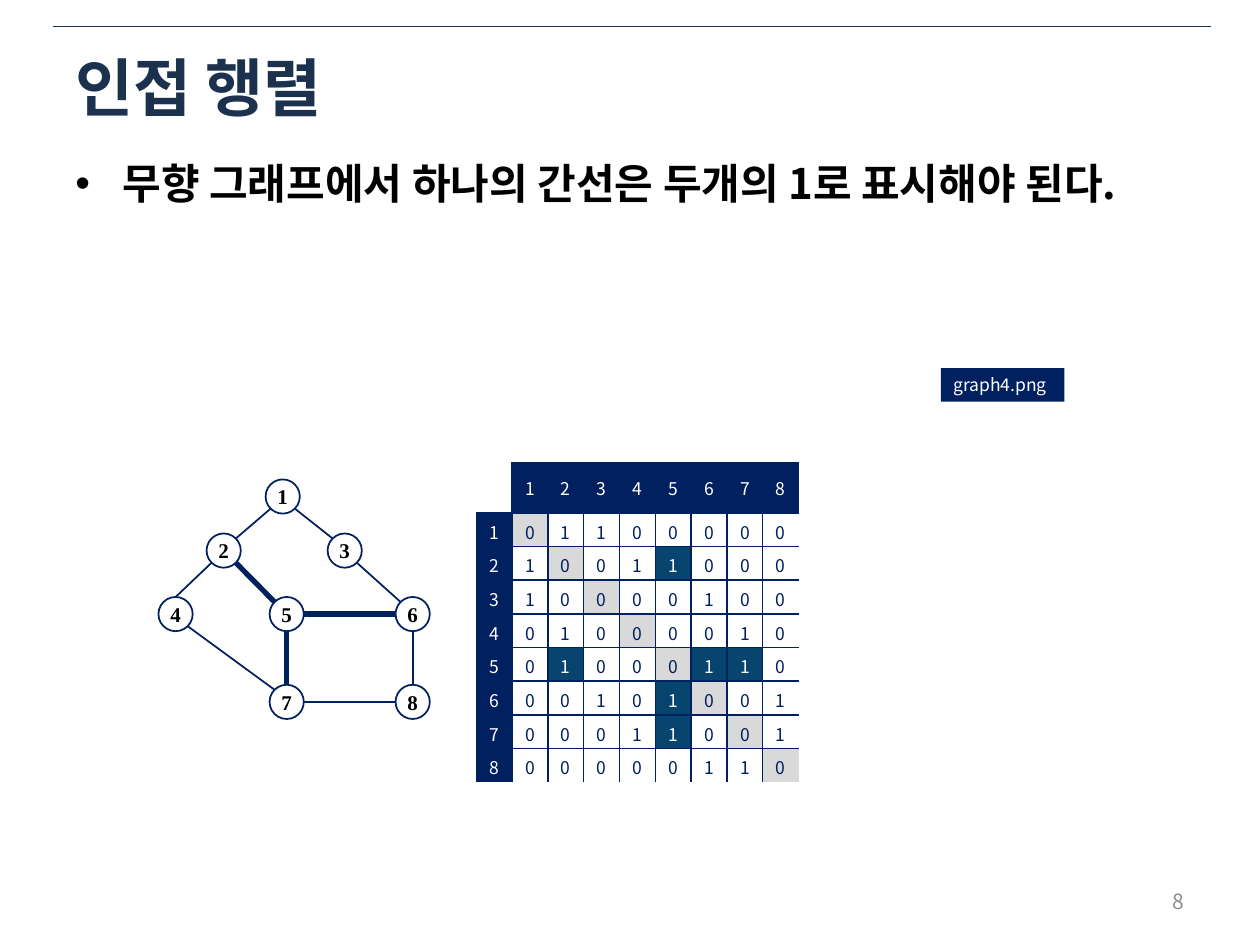
from dataclasses import dataclass
from math import hypot

from lxml import etree
from pptx import Presentation
from pptx.dml.color import RGBColor
from pptx.enum import shapes, text
from pptx.oxml import ns
from pptx.util import Cm, Pt

TITLE = "인접 행렬"
BODY = "무향 그래프에서 하나의 간선은 두개의 1로 표시해야 된다."
FILE_LABEL = "graph4.png"
PAGE = "8"

NODES = {
    1: (5.7, 10.01), 2: (4.51, 11.1), 3: (6.95, 11.1), 4: (3.54, 12.38),
    5: (5.78, 12.38), 6: (8.32, 12.38), 7: (5.78, 14.15), 8: (8.32, 14.15),
}
EDGES = [(1, 2), (1, 3), (2, 4), (2, 5), (3, 6),
         (4, 7), (5, 6), (5, 7), (6, 8), (7, 8)]
MARKED = [(2, 5), (5, 6), (5, 7)]
ENTRY_SIDES = {(2, 4): (0, -1)}
NODE_SIZE = 0.69
MATRIX_BOX = (9.6, 9.32, 6.5, 6.1)
NO_STYLE = "{2D5ABB26-0587-4C30-8999-92F81FD0307C}"


@dataclass(frozen=True)
class Theme:
    sans: str = "Noto Sans CJK KR"
    serif: str = "Times New Roman"
    title: str = "1C314E"
    navy: str = "002060"
    teal: str = "08456E"
    grey: str = "D9D9D9"
    muted: str = "8C8C8C"
    black: str = "000000"
    white: str = "FFFFFF"
    title_size: int = 36
    body_size: int = 24
    node_size: int = 12
    page_size: int = 12
    small_size: int = 10
    thin: float = 1
    thick: float = 3
    rule: float = 0.25


T = Theme()


def rgb(color):
    return RGBColor.from_string(color)


def add_xml(parent, tag, **attrs):
    return etree.SubElement(parent, ns.qn(tag), attrs)


def write(tf, content, size=T.small_size, color=T.white, font=T.sans,
          bold=False, align=text.PP_ALIGN.LEFT):
    p = tf.paragraphs[0]
    p.alignment = align
    r = p.add_run()
    r.text = content
    r.font.size, r.font.bold, r.font.name = Pt(size), bold, font
    r.font.color.rgb = rgb(color)
    add_xml(r.font._element, "a:ea", typeface=font)
    return p


def add_text(slide, box, content, anchor=text.MSO_ANCHOR.MIDDLE, **style):
    tf = slide.shapes.add_textbox(*map(Cm, box)).text_frame
    tf.word_wrap = True
    tf.vertical_anchor = anchor
    return write(tf, content, **style)


def add_line(slide, start, end, color=T.navy, width=T.thin):
    line = slide.shapes.add_connector(
        shapes.MSO_CONNECTOR.STRAIGHT, *map(Cm, (*start, *end)))
    line.line.color.rgb = rgb(color)
    line.line.width = Pt(width)
    add_xml(line._element.spPr, "a:effectLst")


def add_node(slide, number, center):
    left, top = (c - NODE_SIZE / 2 for c in center)
    sp = slide.shapes.add_shape(
        shapes.MSO_SHAPE.OVAL, *map(Cm, (left, top, NODE_SIZE, NODE_SIZE)))
    sp.shadow.inherit = False
    sp.fill.background()
    sp.line.color.rgb = rgb(T.navy)
    sp.line.width = Pt(T.thin)
    tf = sp.text_frame
    tf.margin_left = tf.margin_right = 0
    tf.vertical_anchor = text.MSO_ANCHOR.MIDDLE
    write(tf, str(number), size=T.node_size, color=T.black, font=T.serif,
          bold=True, align=text.PP_ALIGN.CENTER)


def rim_point(center, side):
    scale = NODE_SIZE / 2 / hypot(*side)
    return tuple(c + s * scale for c, s in zip(center, side))


def add_edge(slide, edge):
    start, end = (NODES[n] for n in edge)
    side = tuple((b > a) - (b < a) for a, b in zip(start, end))
    entry = ENTRY_SIDES.get(edge, tuple(-s for s in side))
    add_line(slide, rim_point(start, side), rim_point(end, entry),
             width=T.thick if edge in MARKED else T.thin)


def cell_style(row, col):
    if row == 0 or col == 0:
        return T.navy, T.white
    if row == col:
        return T.grey, T.navy
    if (min(row, col), max(row, col)) in MARKED:
        return T.teal, T.white
    return None, T.navy


def add_borders(cell, sides):
    tc_pr = cell._tc.get_or_add_tcPr()
    for position, side in enumerate(sides):
        ln = etree.Element(ns.qn(f"a:ln{side}"), w=str(Pt(T.thin)))
        fill = add_xml(ln, "a:solidFill")
        add_xml(fill, "a:srgbClr", val=T.navy)
        tc_pr.insert(position, ln)


def add_matrix(slide):
    count = len(NODES) + 1
    left, top, width, height = MATRIX_BOX
    table = slide.shapes.add_table(
        count, count, *map(Cm, (left, top, width, height))).table
    table.first_row = table.horz_banding = False
    table._tbl.tblPr.find(ns.qn("a:tableStyleId")).text = NO_STYLE
    for i in range(count):
        table.columns[i].width = Cm(width / count)
        table.rows[i].height = Cm(height / count)
    for row in range(count):
        for col in range(count):
            cell = table.cell(row, col)
            cell.margin_left = cell.margin_right = 0
            cell.vertical_anchor = text.MSO_ANCHOR.MIDDLE
            fill, color = cell_style(row, col)
            if fill and (row or col):
                cell.fill.solid()
                cell.fill.fore_color.rgb = rgb(fill)
            else:
                cell.fill.background()
            inner = {"L": col > 0, "R": col < count - 1,
                     "T": row > 0, "B": row < count - 1}
            add_borders(cell, [side for side, shown in inner.items() if shown])
            if row and col:
                value = int((min(row, col), max(row, col)) in EDGES)
            else:
                value = row or col
            if row or col:
                write(cell.text_frame, str(value), color=color,
                      align=text.PP_ALIGN.CENTER)


def add_file_label(slide):
    sp = slide.shapes.add_shape(
        shapes.MSO_SHAPE.RECTANGLE, *map(Cm, (18.97, 7.42, 2.49, 0.68)))
    sp.shadow.inherit = False
    sp.fill.solid()
    sp.fill.fore_color.rgb = rgb(T.navy)
    sp.line.fill.background()
    tf = sp.text_frame
    tf.word_wrap = False
    tf.auto_size = text.MSO_AUTO_SIZE.SHAPE_TO_FIT_TEXT
    tf.vertical_anchor = text.MSO_ANCHOR.TOP
    write(tf, FILE_LABEL)


def main():
    prs = Presentation()
    prs.slide_width, prs.slide_height = Cm(25.4), Cm(19.05)
    slide = prs.slides.add_slide(prs.slide_layouts[6])
    add_line(slide, (1.07, 0.53), (24.41, 0.53), T.title, T.rule)
    p = add_text(slide, (1.27, 3.05, 22.86, 1.52), BODY, text.MSO_ANCHOR.TOP,
                 size=T.body_size, color=T.black, bold=True)
    p_pr = p._p.get_or_add_pPr()
    p_pr.set("marL", str(Cm(0.95)))
    p_pr.set("indent", str(Cm(-0.95)))
    add_xml(p_pr, "a:buFont", typeface="Arial")
    add_xml(p_pr, "a:buChar", char="•")
    add_text(slide, (1.27, 0.89, 22.86, 1.7), TITLE,
             size=T.title_size, color=T.title, bold=True)
    add_text(slide, (18.21, 17.65, 5.92, 1.02), PAGE, size=T.page_size,
             color=T.muted, align=text.PP_ALIGN.RIGHT)
    for number, center in NODES.items():
        add_node(slide, number, center)
    for edge in EDGES:
        add_edge(slide, edge)
    add_matrix(slide)
    add_file_label(slide)
    prs.save("out.pptx")


if __name__ == "__main__":
    main()
